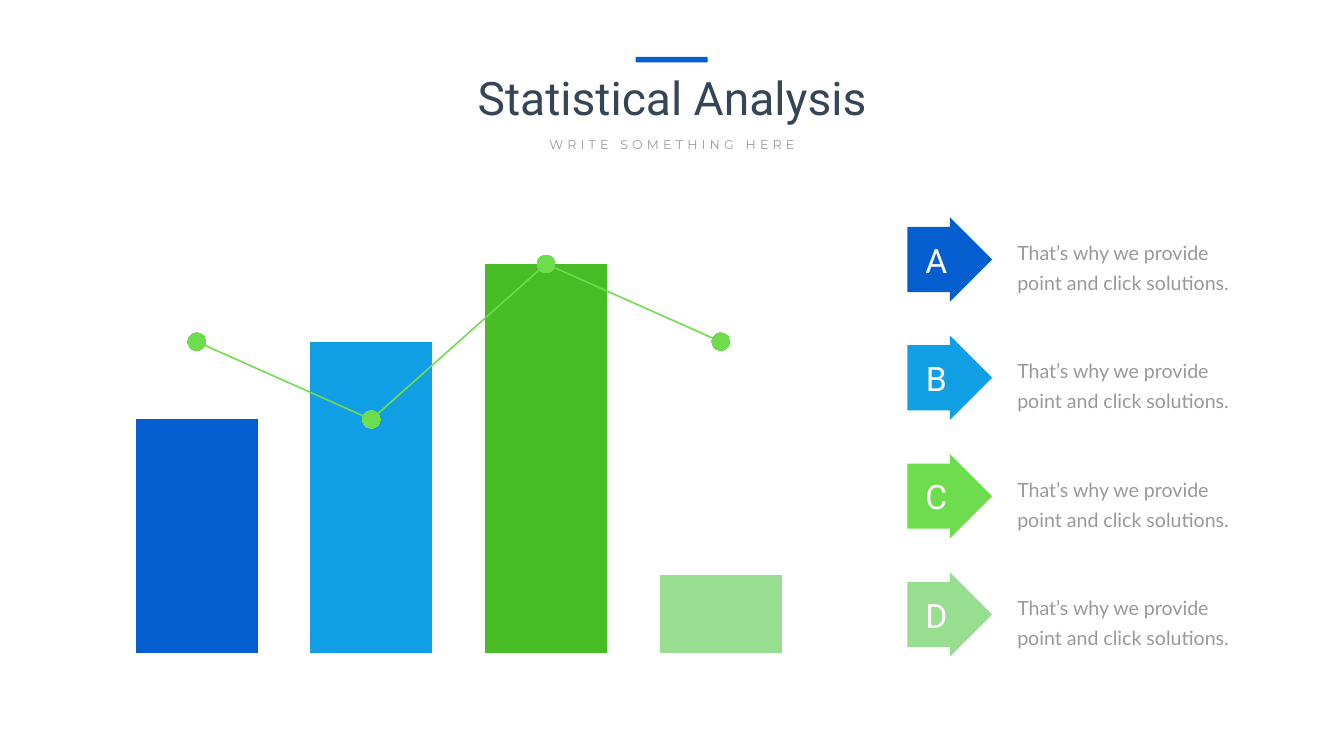
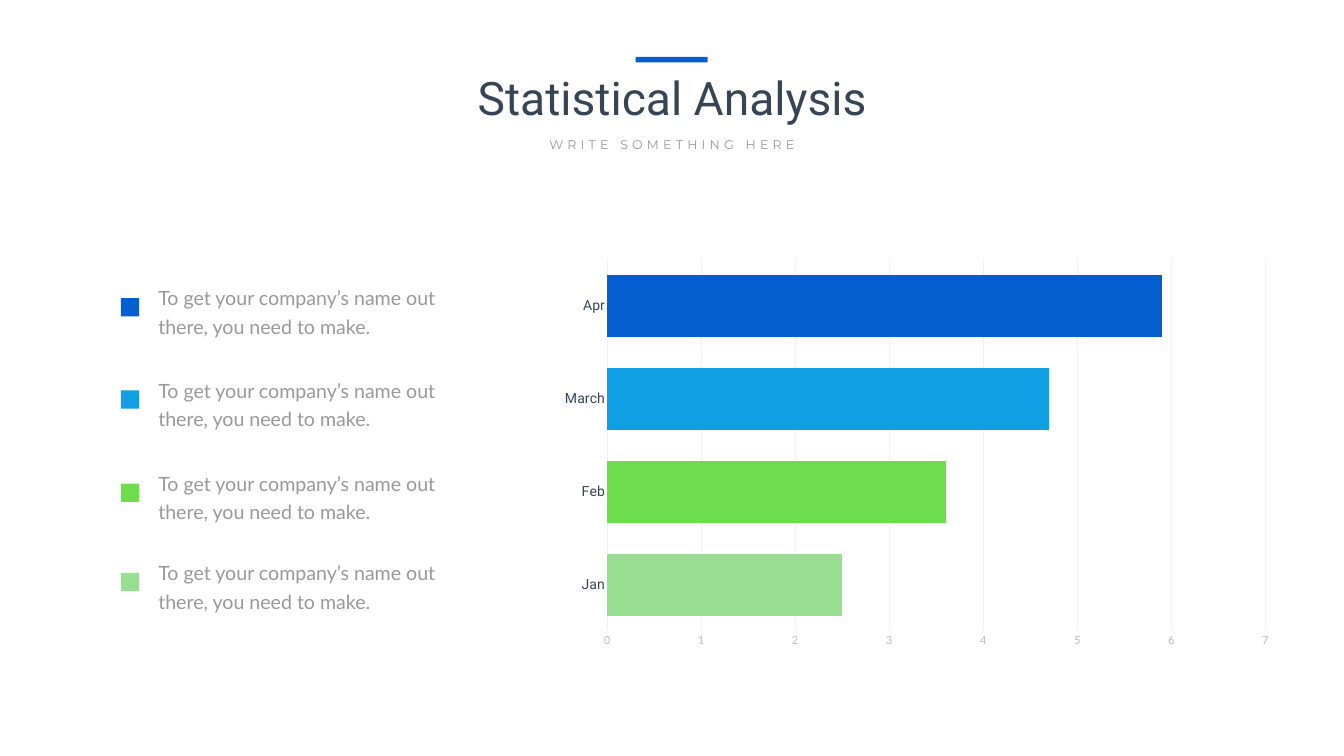
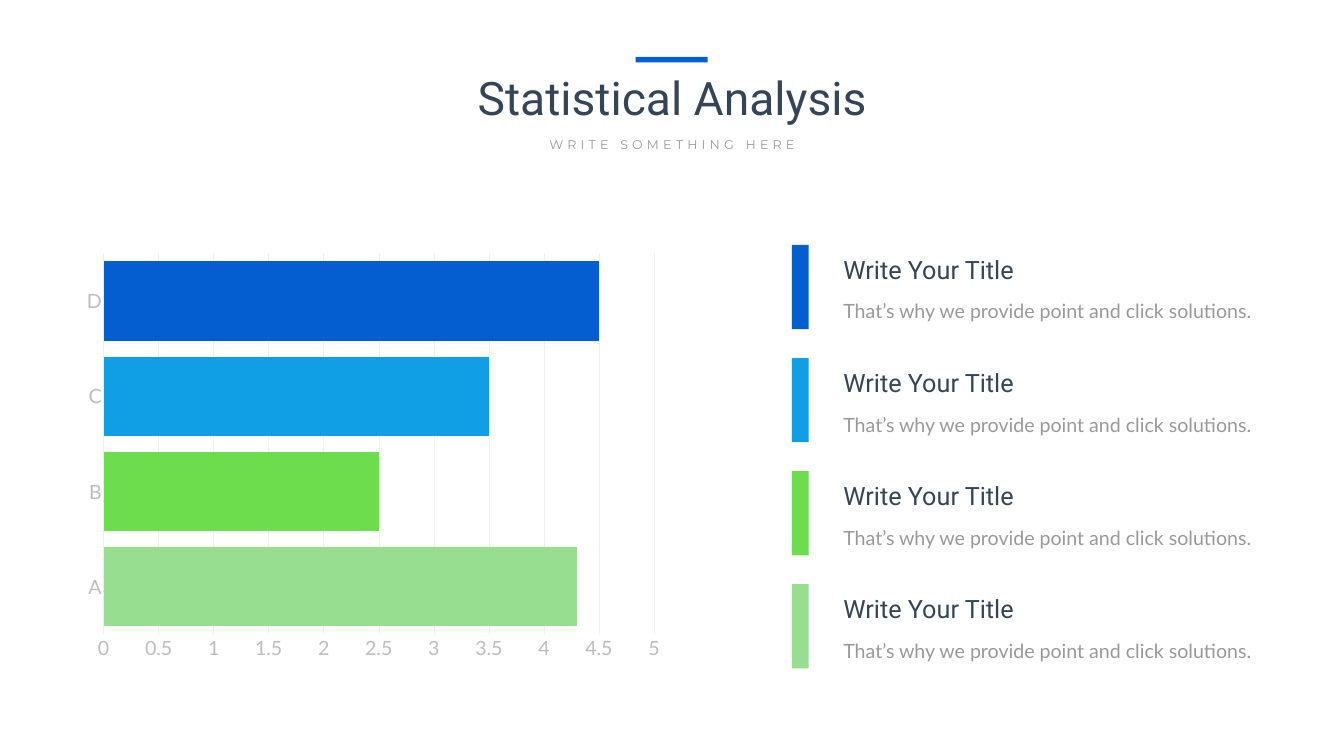
import pptx
import pptx.chart.data
import pptx.dml.color
import pptx.enum.chart
import pptx.enum.shapes
import pptx.enum.text
import pptx.oxml
import pptx.oxml.ns
import pptx.util

WIDE, HIGH = 26.66, 15
BLUE, SKY, LIME, PALE, LEAF = "045ED0", "109FE4", "6EDD4D", "98DE91", "47BC24"
INK, GREY, SILVER, MIST, WHITE = "364556", "999999", "BDBDBD", "F0F0F0", "FFFFFF"
TONES = [BLUE, SKY, LIME, PALE]
HEAD, BODY = "Roboto", "Lato"
CLAIM = "That’s why we provide point and click solutions."
ADVICE = "To get your company’s name out there, you need to make."

KIND = pptx.enum.shapes.MSO_SHAPE
CHART = pptx.enum.chart.XL_CHART_TYPE
NONE = pptx.enum.chart.XL_TICK_MARK.NONE
ALIGN = pptx.enum.text.PP_ALIGN


def hue(code):
    return pptx.dml.color.RGBColor.from_string(code)


def across(share):
    return pptx.util.Inches(WIDE * share / 100)


def down(share):
    return pptx.util.Inches(HIGH * share / 100)


def place(left, top, width, height):
    """Turn percent shares of the slide into lengths."""
    return across(left), down(top), across(width), down(height)


def paint(form, code):
    form.fill.solid()
    form.fill.fore_color.rgb = hue(code)


def style(font, size, face, code):
    font.size, font.name = pptx.util.Pt(size), face
    font.color.rgb = hue(code)


# Text and shapes
def write(slide, text, at, size=28, face=BODY, code=GREY, lead=None,
          mid=False, space=0, pad=None):
    frame = slide.shapes.add_textbox(*place(*at)).text_frame
    frame.word_wrap = True
    frame.auto_size = pptx.enum.text.MSO_AUTO_SIZE.SHAPE_TO_FIT_TEXT
    if pad:
        frame.margin_left = frame.margin_right = across(pad[0])
        frame.margin_top = frame.margin_bottom = down(pad[1])
    para = frame.paragraphs[0]
    para.alignment = ALIGN.CENTER if mid else ALIGN.LEFT
    if lead:
        para.line_spacing = pptx.util.Pt(lead)
    run = para.add_run()
    run.text = text
    style(run.font, size, face, code)
    if space:
        run.font._element.set("spc", str(space * 100))


def block(slide, at, code, kind=KIND.RECTANGLE):
    shape = slide.shapes.add_shape(kind, *place(*at))
    shape.shadow.inherit = False
    paint(shape, code)
    shape.line.fill.background()
    return shape


def start(deck):
    """Add a slide with the shared heading."""
    slide = deck.slides.add_slide(deck.slide_layouts[6])
    write(slide, "Statistical Analysis", (29.03, 8.8, 41.97, 8.07),
          size=66, face=HEAD, code=INK, mid=True)
    write(slide, "WRITE SOMETHING HERE", (38.82, 17.73, 22.36, 2.67),
          size=18, face="Montserrat", mid=True, space=6)
    block(slide, (47.3, 7.53, 5.36, 0.73), BLUE)
    return slide


# Charts
def frame_plot(chart, box):
    """Fix the inner plot area as shares of the chart."""
    parts = "".join(f'<c:{tag} val="{val}"/>' for tag, val in zip("xywh", box))
    area = chart._chartSpace.chart.plotArea
    for old in area.findall(pptx.oxml.ns.qn("c:layout")):
        area.remove(old)
    area.insert(0, pptx.oxml.parse_xml(
        f'<c:layout {pptx.oxml.ns.nsdecls("c")}><c:manualLayout>'
        '<c:layoutTarget val="inner"/><c:xMode val="edge"/><c:yMode val="edge"/>'
        f'{parts}</c:manualLayout></c:layout>'))


def draw(slide, kind, at, cats, rows, tones, gap, top, step, face, size, box):
    data = pptx.chart.data.CategoryChartData()
    data.categories = cats
    for num, vals in enumerate(rows, 1):
        data.add_series(f"Series {num}", vals)
    chart = slide.shapes.add_chart(kind, *place(*at), data).chart
    chart.has_legend = chart.has_title = False
    style(chart.font, size, face, GREY)
    plot = chart.plots[0]
    plot.vary_by_categories, plot.gap_width = False, gap
    first = plot.series[0]
    paint(first.format, BLUE)
    for num, tone in enumerate(tones):
        if tone != BLUE:
            paint(first.points[num].format, tone)
    axis = chart.value_axis
    axis.minimum_scale, axis.maximum_scale, axis.major_unit = 0, top, step
    frame_plot(chart, box)
    return chart


def thin(line):
    line.color.rgb, line.width = hue(MIST), pptx.util.Pt(0.75)


def bars(slide, at, cats, vals, gap, top, step, size, names, ticks, box):
    """Horizontal bars; names and ticks are the formats of the axis labels."""
    chart = draw(slide, CHART.BAR_CLUSTERED, at, cats, [vals], TONES[::-1],
                 gap, top, step, BODY, size, box)
    for axis, form in (chart.category_axis, names), (chart.value_axis, ticks):
        axis.major_tick_mark = axis.minor_tick_mark = NONE
        style(axis.tick_labels.font, *form)
    chart.category_axis.has_major_gridlines = False
    thin(chart.category_axis.format.line)
    chart.value_axis.format.line.fill.background()
    thin(chart.value_axis.major_gridlines.format.line)
    labels = chart.value_axis.tick_labels
    labels.number_format, labels.number_format_is_linked = "General", False


def add_line(chart):
    """Move the last column series to a line plot on the same axes."""
    old = chart._chartSpace.chart.plotArea.find(pptx.oxml.ns.qn("c:barChart"))
    ser = old.findall(pptx.oxml.ns.qn("c:ser"))[-1]
    for flag in ser.findall(pptx.oxml.ns.qn("c:invertIfNegative")):
        ser.remove(flag)
    axes = "".join(f'<c:axId val="{axis.get("val")}"/>'
                   for axis in old.findall(pptx.oxml.ns.qn("c:axId")))
    new = pptx.oxml.parse_xml(
        f'<c:lineChart {pptx.oxml.ns.nsdecls("c")}><c:grouping val="standard"/>'
        f'<c:varyColors val="0"/><c:marker val="1"/>{axes}</c:lineChart>')
    new.insert(2, ser)
    old.addnext(new)
    trend = chart.plots[1].series[0]
    trend.smooth = False
    trend.format.line.color.rgb = hue(LIME)
    trend.format.line.width = pptx.util.Pt(2.25)
    trend.marker.style = pptx.enum.chart.XL_MARKER_STYLE.CIRCLE
    trend.marker.size = 25
    paint(trend.marker.format, LIME)
    trend.marker.format.line.fill.background()


# Slides
def mixed(deck):
    slide = start(deck)
    for num, (mark, tone) in enumerate(zip("ABCD", TONES)):
        top = 28.73 + 15.65 * num
        arrow = block(slide, (67.52, top, 6.3, 11.2), tone, KIND.RIGHT_ARROW)
        arrow.adjustments[0] = 0.77
        write(slide, mark, (68, top + 2.65, 3.34, 6.07),
              size=48, face=HEAD, code=WHITE, mid=True)
        write(slide, CLAIM, (75.32, top + 1.95, 17.22, 7.47), lead=43)
    rows = [60, 80, 100, 20], [None] * 4, [80, 60, 100, 80]
    chart = draw(slide, CHART.COLUMN_CLUSTERED, (7.05, 23.33, 54.16, 64.33),
                 list("1234"), rows, [BLUE, SKY, LEAF, PALE], 43, 120, 20,
                 "Calibri", 10, (0.02, 0.02, 0.96, 0.96))
    chart.plots[0].overlap = 100
    paint(chart.plots[0].series[1].format, SKY)
    add_line(chart)
    for axis in chart.category_axis, chart.value_axis:
        axis.visible = axis.has_major_gridlines = False


def months(deck):
    slide = start(deck)
    for top, tone in zip((36.4, 48.6, 60.93, 72.73), TONES):
        write(slide, ADVICE, (10.88, top, 24.08, 8.93), lead=40.8, pad=(0.9, 0.8))
        block(slide, (9, top + 3.05, 1.35, 2.4), tone)
    bars(slide, (40.81, 33.2, 54.43, 53.53), ["Jan", "Feb", "March", "Apr"],
         [2.5, 3.6, 4.7, 5.9], 50, 7, 1, 10, (20, HEAD, INK),
         (16, BODY, SILVER), (0.08, 0.02, 0.9, 0.92))


def titles(deck):
    slide = start(deck)
    label = 28, BODY, SILVER
    bars(slide, (5.48, 32.4, 44.52, 56), list("ABCD"), [4.3, 2.5, 3.5, 4.5],
         20, 5, 0.5, 28, label, label, (0.05, 0.02, 0.92, 0.9))
    for num, tone in enumerate(TONES):
        top = 32.4 + 14.96 * num
        block(slide, (58.93, top, 1.24, 11.13), tone)
        write(slide, CLAIM, (62.38, top + 6, 32.15, 4.13), lead=43)
        write(slide, "Write Your Title", (62.38, top + 0.9, 16.54, 4.6),
              size=36, face=HEAD, code=INK)


def main():
    deck = pptx.Presentation()
    deck.slide_width, deck.slide_height = across(100), down(100)
    for build in mixed, months, titles:
        build(deck)
    deck.save("out.pptx")


if __name__ == "__main__":
    main()
